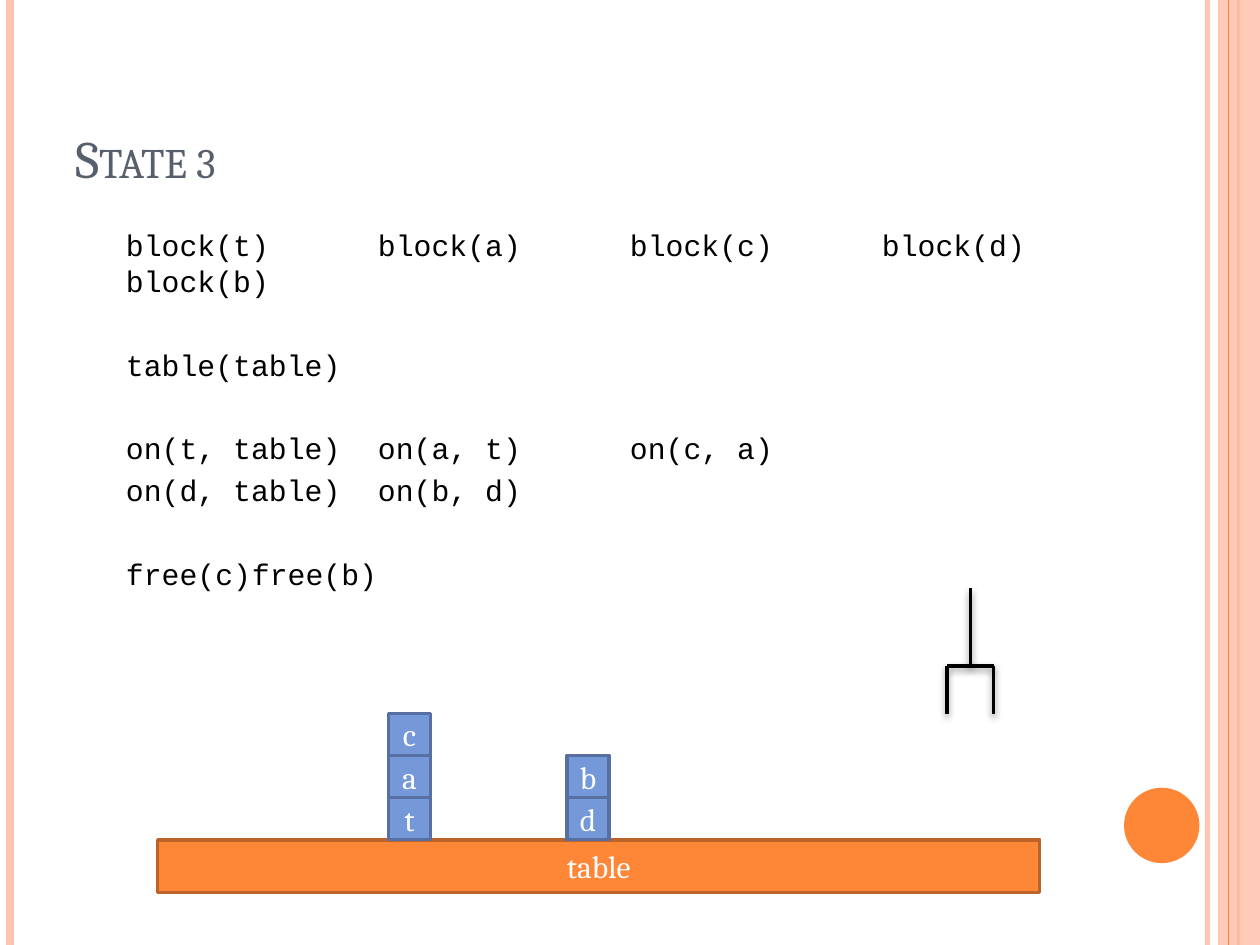
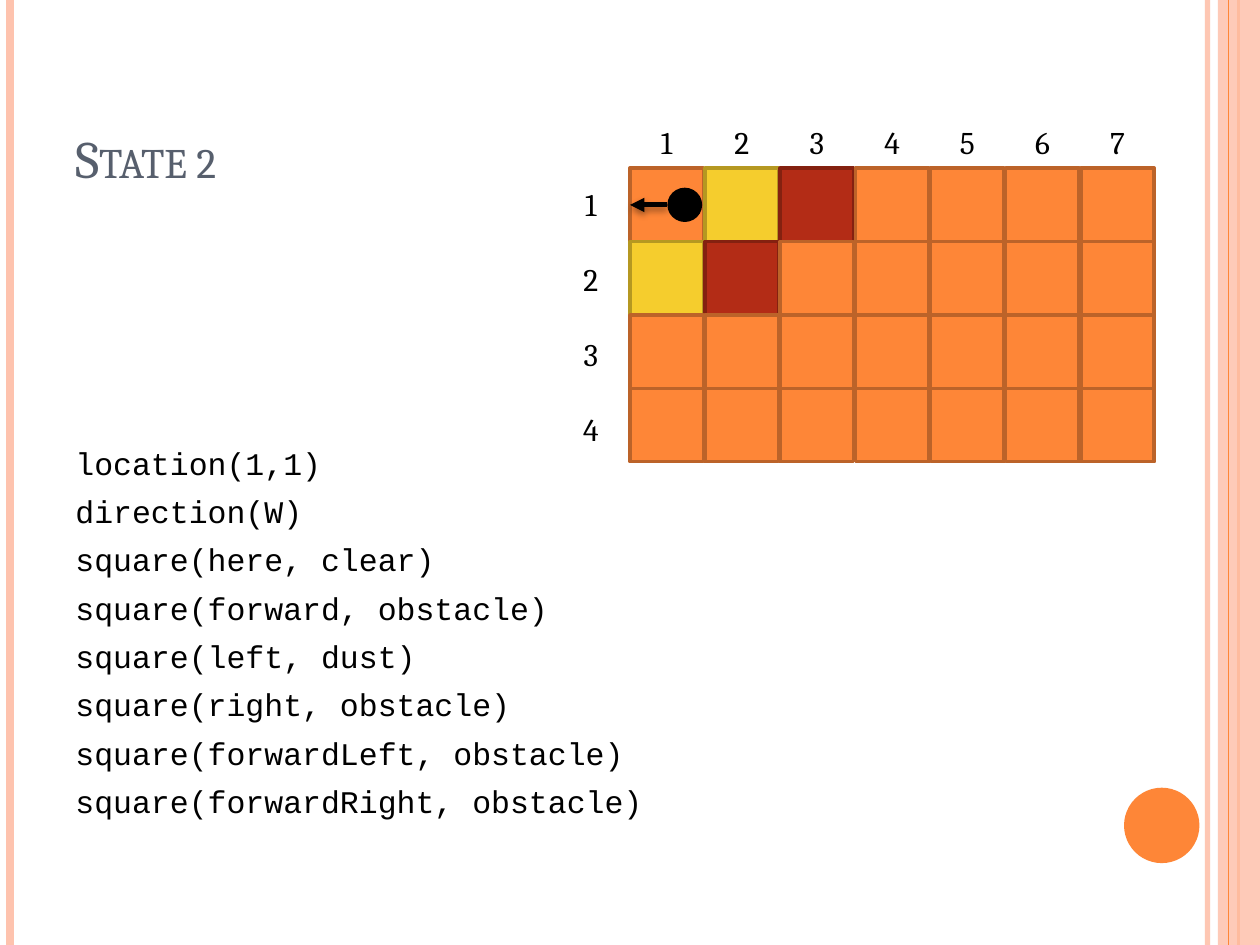
from dataclasses import dataclass

import lxml.etree
import pptx
import pptx.dml.color
import pptx.enum.shapes
import pptx.enum.text
import pptx.oxml.ns
import pptx.util

Cm = pptx.util.Cm
Pt = pptx.util.Pt
qn = pptx.oxml.ns.qn
SHAPE = pptx.enum.shapes.MSO_SHAPE
ANCHOR = pptx.enum.text.MSO_ANCHOR
ALIGN = pptx.enum.text.PP_ALIGN


@dataclass(frozen=True)
class Theme:
    serif: str = "Cambria"
    mono: str = "Courier New"
    black: str = "000000"
    white: str = "FFFFFF"
    title: str = "575F6D"
    peach: str = "FEC3AE"
    orange: tuple = ("FE8637", "BC6329")
    yellow: tuple = ("F5CD2D", "B59821")
    red: tuple = ("B32C16", "842110")
    blue: tuple = ("7598D9", "5770A1")
    title_size: float = 30
    label_size: float = 18
    outline: float = 2


T = Theme()
WIDTH, HEIGHT = 25.4, 19.05
TAB = 2.54


def rgb(color):
    return pptx.dml.color.RGBColor.from_string(color)


def sub(parent, tag, **attrs):
    return lxml.etree.SubElement(parent, qn(tag), **attrs)


def set_alpha(sp, percent):
    color = next(sp._element.spPr.iter(qn("a:srgbClr")))
    sub(color, "a:alpha", val=str(percent * 1000))


def set_tabs(p, count):
    tabs = sub(p._p.get_or_add_pPr(), "a:tabLst")
    for i in range(1, count + 1):
        sub(tabs, "a:tab", pos=str(Cm(i * TAB)), algn="l")


def format_text(p, size, color, font=T.serif, align=ALIGN.CENTER):
    p.alignment = align
    for r in p.runs:
        r.font.size = Pt(size)
        r.font.name = font
        r.font.color.rgb = rgb(color)


def add_box(slide, kind, x, y, w, h, fill, line=None, text=""):
    sp = slide.shapes.add_shape(kind, Cm(x), Cm(y), Cm(w), Cm(h))
    sp.shadow.inherit = False
    sp.fill.solid()
    sp.fill.fore_color.rgb = rgb(fill)
    if line:
        sp.line.color.rgb = rgb(line)
        sp.line.width = Pt(T.outline)
    else:
        sp.line.fill.background()
    if text:
        tf = sp.text_frame
        tf.vertical_anchor = ANCHOR.MIDDLE
        tf.text = text
        format_text(tf.paragraphs[0], T.label_size, T.white)
    return sp


def add_line(slide, x1, y1, x2, y2, color, width, shadow=False):
    cx = slide.shapes.add_connector(
        pptx.enum.shapes.MSO_CONNECTOR.STRAIGHT, Cm(x1), Cm(y1), Cm(x2), Cm(y2))
    cx.line.color.rgb = rgb(color)
    cx.line.width = Pt(width)
    effects = sub(cx._element.spPr, "a:effectLst")
    if shadow:
        outer = sub(effects, "a:outerShdw", blurRad=str(Pt(4)), dist=str(Pt(2)),
                    dir="5400000", rotWithShape="0")
        sub(sub(outer, "a:srgbClr", val=T.black), "a:alpha", val="40000")
    return cx


def add_text(slide, x, y, w, h, text):
    tf = slide.shapes.add_textbox(Cm(x), Cm(y), Cm(w), Cm(h)).text_frame
    tf.word_wrap = True
    tf.text = text
    return tf


def add_label(slide, x, y, w, text):
    tf = add_text(slide, x, y, w, 1.02, text)
    format_text(tf.paragraphs[0], T.label_size, T.black)


def add_title(slide, text):
    tf = add_text(slide, 1.27, 0.76, 20.75, 3.18, text)
    tf.vertical_anchor = ANCHOR.BOTTOM
    p = tf.paragraphs[0]
    format_text(p, T.title_size, T.title, align=ALIGN.LEFT)
    p.runs[0].font._element.set("cap", "small")


def add_facts(slide, x, y, w, h, groups, size, leading, before):
    tf = add_text(slide, x, y, w, h, "\n".join("\n".join(g) for g in groups))
    firsts = [g[0] for g in groups[1:]]
    for p in tf.paragraphs:
        gap = leading + before if p.text in firsts else 0
        p.line_spacing = Pt(leading)
        p.space_before = Pt(before + gap)
        format_text(p, size, T.black, T.mono, ALIGN.LEFT)
        if "\t" in p.text:
            set_tabs(p, 7)


def add_state_slide(prs, title):
    slide = prs.slides.add_slide(prs.slide_layouts[6])
    stripe = add_line(slide, 24.34, 0, 24.34, HEIGHT, T.peach, 3)
    set_alpha(stripe, 93)
    add_line(slide, 0.21, 0, 0.21, HEIGHT, T.peach, 4.5)
    add_line(slide, 24.97, 0, 24.97, HEIGHT, T.orange[0], 1.5)
    band = add_box(slide, SHAPE.RECTANGLE, 24.55, 0, 0.85, HEIGHT, T.peach)
    set_alpha(band, 87)
    add_line(slide, 24.77, 0, 24.77, HEIGHT, T.orange[0], 0.75)
    add_box(slide, SHAPE.OVAL, 22.66, 15.88, 1.52, 1.52, T.orange[0])
    add_title(slide, title)
    return slide


def add_stack(slide, x, table_top, names):
    side = 0.85
    for level, name in enumerate(names, 1):
        add_box(slide, SHAPE.RECTANGLE, x, table_top - level * side, side, side,
                *T.blue, text=name)


def add_gripper(slide, x, y):
    half, stem, finger = 0.47, 1.57, 0.96
    bar = y + stem
    left, right, tip = x - half, x + half, bar + finger
    for ends in ((x, y, x, bar), (left, bar, right, bar),
                 (right, tip, right, bar), (left, tip, left, bar)):
        add_line(slide, *ends, T.black, T.outline, shadow=True)


def add_floor(slide, x, y, rows, cols, special):
    side, pitch = 1.48, 1.515
    cells = {}
    for row in range(rows):
        add_label(slide, x - 1.53, y + 0.22 + row * 1.51, side, str(row + 1))
        for col in range(cols):
            colors = special.get((row + 1, col + 1), T.orange)
            cells[row + 1, col + 1] = add_box(
                slide, SHAPE.RECTANGLE, x + col * pitch, y + row * side, side, side, *colors)
    for col in range(cols):
        add_label(slide, x + col * pitch, y - 1.03, side, str(col + 1))
    return cells


def add_robot(slide, cell):
    x, y = cell.left.cm, cell.top.cm
    middle = y + cell.height.cm / 2
    add_box(slide, SHAPE.OVAL, x + 0.79, middle - 0.31, 0.63, 0.62, T.black, T.black)
    arrow = add_line(slide, x + 0.74, middle, x, middle, T.black, 2.75, shadow=True)
    arrow.end_connect(cell, 1)
    sub(arrow.line._get_or_add_ln(), "a:tailEnd", type="triangle")


def blocks_slide(prs):
    slide = add_state_slide(prs, "State 3")
    add_facts(slide, 2.29, 4.45, 20.37, 13.54, [
        ["block(t)\t\tblock(a)\t\tblock(c)\t\tblock(d) block(b)".replace("\t\t", "\t")],
        ["table(table)"],
        ["on(t, table)\ton(a, t)\ton(c, a)", "on(d, table)\ton(b, d)"],
        ["free(c)\tfree(b)"],
    ], size=17, leading=20.5, before=3.4)
    table_top = 16.93
    add_box(slide, SHAPE.RECTANGLE, 3.18, table_top, 17.78, 1.06, *T.orange, text="table")
    add_stack(slide, 7.83, table_top, "tac")
    add_stack(slide, 11.43, table_top, "db")
    add_gripper(slide, 19.56, 11.86)


def floor_slide(prs):
    slide = add_state_slide(prs, "State 2")
    add_facts(slide, 1.27, 8.82, 12.98, 9.14, [[
        "location(1,1)",
        "direction(W)",
        "square(here, clear)",
        "square(forward, obstacle)",
        "square(left, dust)",
        "square(right, obstacle)",
        "square(forwardLeft, obstacle)",
        "square(forwardRight, obstacle)",
    ]], size=18, leading=21.6, before=6)
    special = {(1, 2): T.yellow, (2, 1): T.yellow, (1, 3): T.red, (2, 2): T.red}
    cells = add_floor(slide, 12.7, 3.39, 4, 7, special)
    add_robot(slide, cells[1, 1])


def main():
    prs = pptx.Presentation()
    prs.slide_width, prs.slide_height = Cm(WIDTH), Cm(HEIGHT)
    blocks_slide(prs)
    floor_slide(prs)
    prs.save("out.pptx")


if __name__ == "__main__":
    main()
